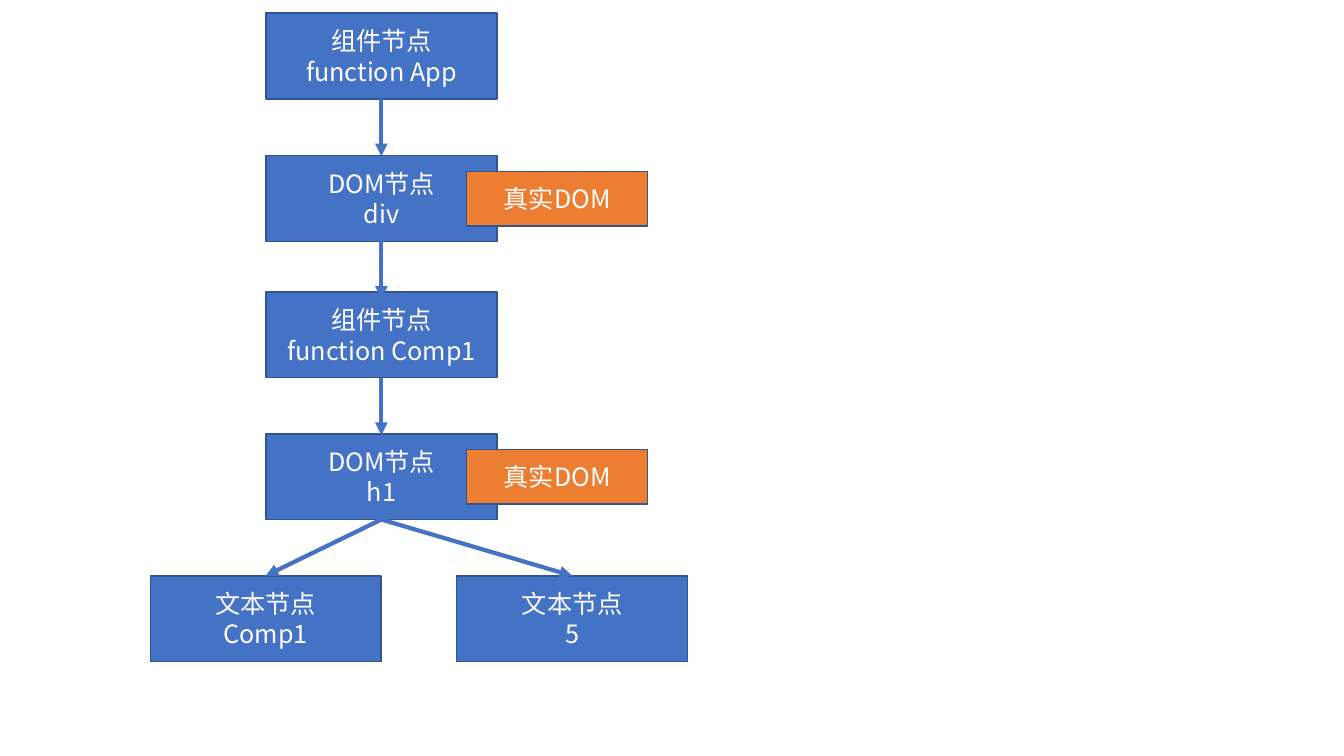
from pptx import Presentation
from pptx.dml.color import RGBColor
from pptx.enum.shapes import MSO_CONNECTOR, MSO_SHAPE
from pptx.enum.text import MSO_ANCHOR, PP_ALIGN
from pptx.oxml.ns import qn
from pptx.util import Pt
from lxml import etree

RECT = MSO_SHAPE.RECTANGLE
STRAIGHT = MSO_CONNECTOR.STRAIGHT
MIDDLE = MSO_ANCHOR.MIDDLE
CENTER = PP_ALIGN.CENTER

BLUE, ORANGE, BORDER, WHITE = "4472C4", "ED7D31", "325491", "FFFFFF"
NODE_W, NODE_H = 165, 61.2
TAG_W, TAG_H = 129, 39
TAG_DX, TAG_DY = 143.4, 11.2
TRUNK_LEFT, TRUNK_X = 190, 272.4
ARROW_H = 41
LEAF_TOP = 411.3


def rgb(value):
    return RGBColor.from_string(value)


class Diagram:
    """Draws nodes and arrows in one style on the current slide."""

    font = "Noto Sans CJK SC"
    size = 18

    def __init__(self, slide):
        self.s = slide

    def box(self, x, y, w, h, lines, fill):
        sp = self.s.shapes.add_shape(RECT, Pt(x), Pt(y), Pt(w), Pt(h))
        sp.shadow.inherit = False
        sp.fill.solid()
        sp.fill.fore_color.rgb = rgb(fill)
        sp.line.color.rgb = rgb(BORDER)
        sp.line.width = Pt(1)
        tf = sp.text_frame
        tf.word_wrap = True
        tf.vertical_anchor = MIDDLE
        for i, line in enumerate(lines):
            p = tf.add_paragraph() if i else tf.paragraphs[0]
            p.alignment = CENTER
            self.run(p, line)

    def run(self, p, text):
        r = p.add_run()
        r.text = text
        r.font.name = self.font
        r.font.size = Pt(self.size)
        r.font.color.rgb = rgb(WHITE)
        etree.SubElement(r.font._element, qn("a:ea"), typeface=self.font)

    def node(self, x, y, kind, name):
        self.box(x, y, NODE_W, NODE_H, [kind, name], BLUE)

    def tag(self, x, y, text):
        self.box(x, y, TAG_W, TAG_H, [text], ORANGE)

    def arrow(self, x1, y1, x2, y2):
        c = self.s.shapes.add_connector(STRAIGHT, Pt(x1), Pt(y1), Pt(x2), Pt(y2))
        c.line.color.rgb = rgb(BLUE)
        c.line.width = Pt(3)
        ln = c.line._get_or_add_ln()
        etree.SubElement(ln, qn("a:tailEnd"), type="triangle")
        etree.SubElement(c._element.spPr, qn("a:effectLst"))


prs = Presentation()
prs.slide_width, prs.slide_height = Pt(960), Pt(540)
d = Diagram(prs.slides.add_slide(prs.slide_layouts[6]))

trunk = [
    (9.4, "组件节点", "function App", False),
    (111.3, "DOM节点", "div", True),
    (208.6, "组件节点", "function Comp1", False),
    (309.9, "DOM节点", "h1", True),
]
leaves = [(107.3, "Comp1"), (326.2, "5")]

for top, kind, name, has_dom in trunk:
    d.node(TRUNK_LEFT, top, kind, name)
    if has_dom:
        d.tag(TRUNK_LEFT + TAG_DX, top + TAG_DY, "真实DOM")

for top, *_ in trunk[:-1]:
    bottom = top + NODE_H
    d.arrow(TRUNK_X, bottom, TRUNK_X, bottom + ARROW_H)

fork_y = trunk[-1][0] + NODE_H
for left, name in leaves:
    d.node(left, LEAF_TOP, "文本节点", name)
    d.arrow(TRUNK_X, fork_y, left + NODE_W / 2, LEAF_TOP)

prs.save("out.pptx")
